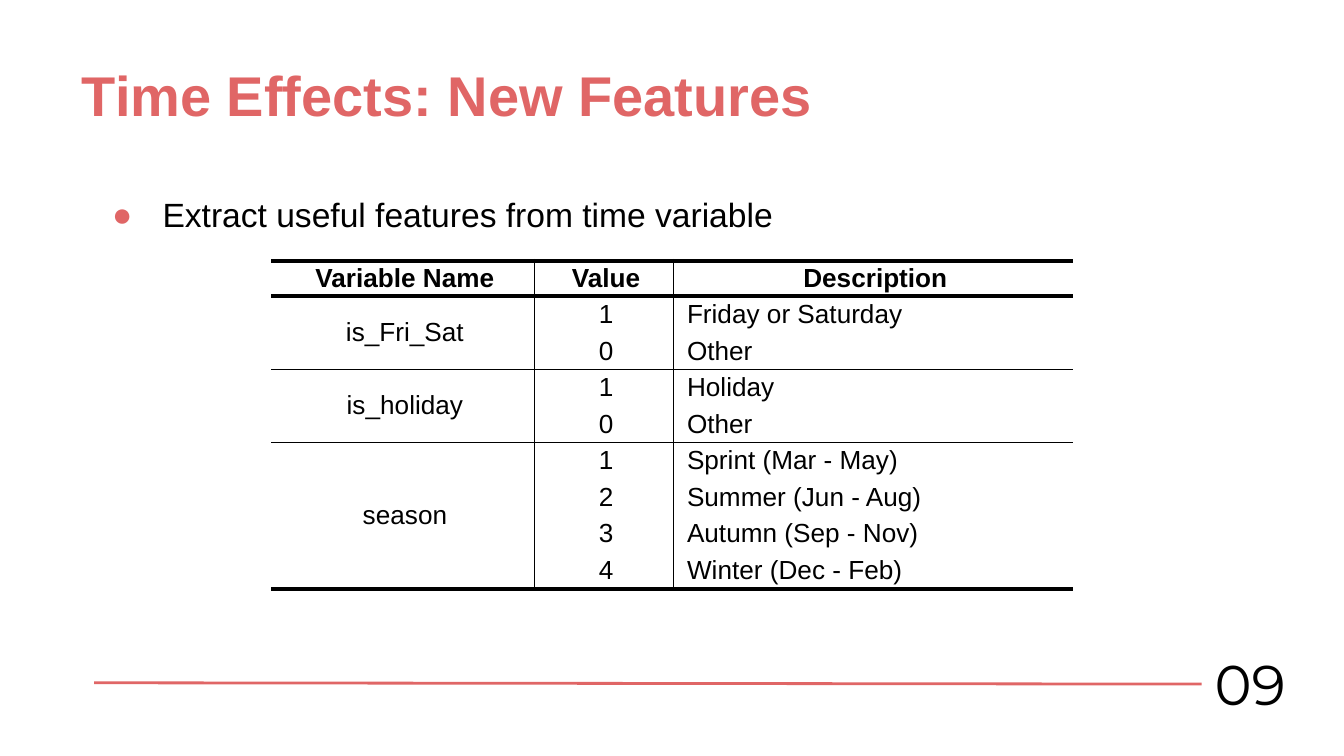
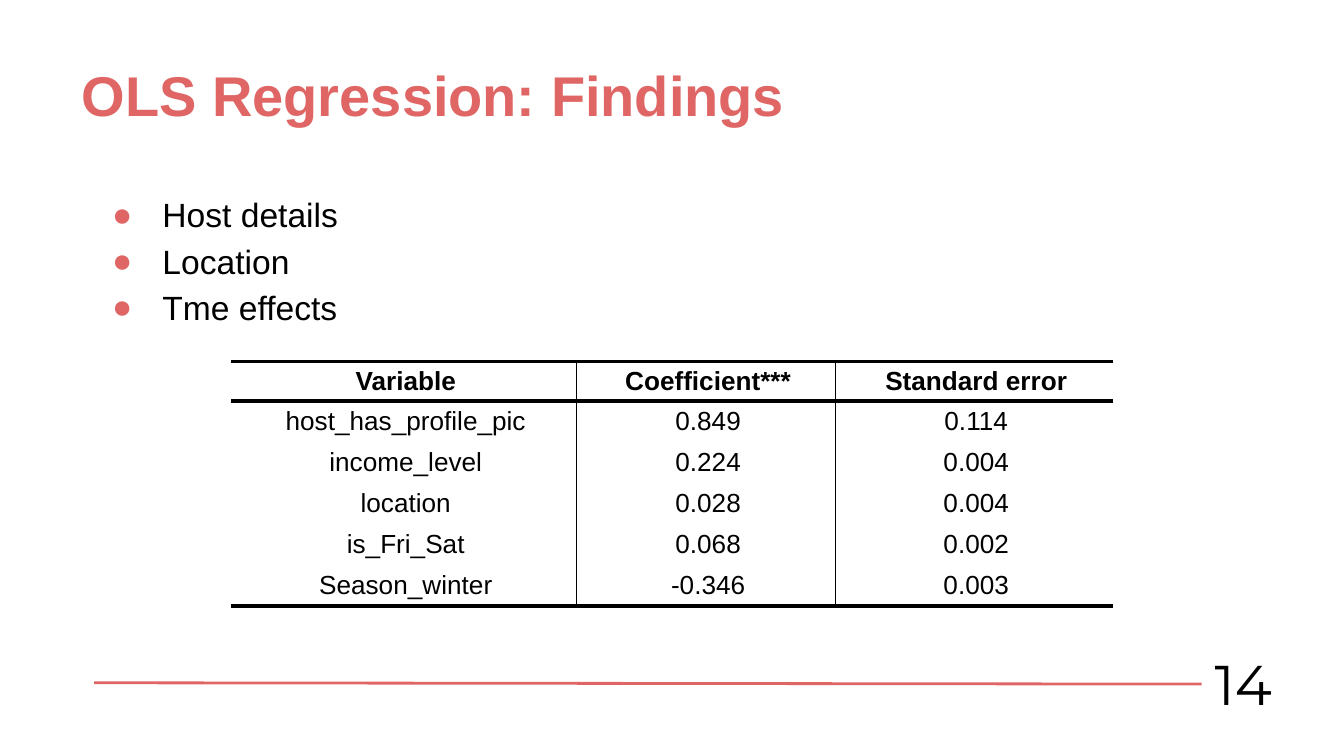
"""Build two findings slides that share a title, bullets, ruled table and footer."""
from dataclasses import dataclass

import lxml.etree
import pptx
import pptx.dml.color
import pptx.enum.shapes
import pptx.enum.text
import pptx.oxml.ns
import pptx.util

Pt = pptx.util.Pt
qn = pptx.oxml.ns.qn
RGB = pptx.dml.color.RGBColor.from_string
ALIGN = pptx.enum.text.PP_ALIGN


@dataclass(frozen=True)
class Theme:
    """Colours, fonts, type sizes and rule widths of the deck."""
    accent: str = "E06666"
    ink: str = "000000"
    paper: str = "FFFFFF"
    body_font: str = "Arial"
    number_font: str = "Montserrat"
    title_size: float = 30
    bullet_size: float = 18
    table_size: float = 14
    heavy: float = 2.25
    medium: float = 1
    thin: float = 0.75
    footer_rule: float = 1.5


THEME = Theme()


def add_child(parent, tag, **attributes):
    """Append a DrawingML element and return it."""
    return lxml.etree.SubElement(parent, qn(tag), attributes)


def write(paragraph, text, size, font=THEME.body_font, color=THEME.ink,
          bold=False, align=ALIGN.LEFT):
    """Write one formatted run into a paragraph."""
    paragraph.alignment = align
    run = paragraph.add_run()
    run.text = text
    run.font.size = Pt(size)
    run.font.name = font
    run.font.bold = bold
    run.font.color.rgb = RGB(color)


def add_text_frame(slide, box, inset_x=5, inset_y=3):
    """Add a wrapping text box and return its frame."""
    frame = slide.shapes.add_textbox(*map(Pt, box)).text_frame
    frame.word_wrap = True
    frame.margin_left = frame.margin_right = Pt(inset_x)
    frame.margin_top = frame.margin_bottom = Pt(inset_y)
    return frame


def add_title(slide, box, title):
    """Place the bold accent title."""
    frame = add_text_frame(slide, box)
    write(frame.paragraphs[0], title, THEME.title_size, color=THEME.accent, bold=True)


def add_bullets(slide, box, points):
    """Place the points with accent bullets and a hanging indent."""
    frame = add_text_frame(slide, box)
    for index, point in enumerate(points):
        paragraph = frame.add_paragraph() if index else frame.paragraphs[0]
        write(paragraph, point, THEME.bullet_size)
        paragraph.line_spacing = 1.15
        layout = paragraph._p.get_or_add_pPr()
        layout.set("marL", str(Pt(36)))
        layout.set("indent", str(Pt(-27)))
        add_child(add_child(layout, "a:buClr"), "a:srgbClr", val=THEME.accent)
        add_child(layout, "a:buFont", typeface=THEME.body_font)
        add_child(layout, "a:buChar", char="●")


def add_footer(slide, box, number):
    """Place the accent rule and the page number at its right end."""
    left, top, width, height = box
    number_width = 57.6
    rule_end = left + width - number_width
    rule_top = top + 25.2
    rule = slide.shapes.add_connector(
        pptx.enum.shapes.MSO_CONNECTOR.STRAIGHT,
        Pt(left), Pt(rule_top), Pt(rule_end), Pt(rule_top + 0.7))
    rule.line.color.rgb = RGB(THEME.accent)
    rule.line.width = Pt(THEME.footer_rule)
    add_child(rule._element.spPr, "a:effectLst")
    frame = add_text_frame(slide, (rule_end, top, number_width, height), 7.2, 7.2)
    write(frame.paragraphs[0], number, THEME.title_size, font=THEME.number_font)


def set_borders(cell, **widths):
    """Draw the cell sides L, R, T and B; a zero width hides a side."""
    properties = cell._tc.get_or_add_tcPr()
    for side in "LRTB":
        width = widths[side]
        border = add_child(properties, f"a:ln{side}", w=str(Pt(width)))
        if width:
            add_child(add_child(border, "a:solidFill"), "a:srgbClr", val=THEME.ink)
        else:
            add_child(border, "a:noFill")


def fill_cell(cell, text, bold, align):
    """Give a cell its margins, background and text."""
    cell.fill.solid()
    cell.fill.fore_color.rgb = RGB(THEME.paper)
    cell.vertical_anchor = pptx.enum.text.MSO_ANCHOR.MIDDLE
    cell.margin_left, cell.margin_right = Pt(7.2), Pt(5)
    cell.margin_top = cell.margin_bottom = 0
    write(cell.text_frame.paragraphs[0], text, THEME.table_size, bold=bold, align=align)


def add_ruled_table(slide, box, column_widths, header_height, header, groups,
                    group_rule=0, column_rule=THEME.thin, last_align=ALIGN.CENTER):
    """Place a table whose groups of rows share one merged name cell."""
    rows, spans = [header], {0: 1}
    rules = {0: THEME.heavy, 1: THEME.heavy}
    for name, entries in groups:
        start = len(rows)
        spans[start] = len(entries)
        rules.setdefault(start, group_rule)
        rows += [(name if i == 0 else "", *entry) for i, entry in enumerate(entries)]
    rules[len(rows)] = THEME.heavy

    last = len(header) - 1
    table = slide.shapes.add_table(len(rows), last + 1, *map(Pt, box)).table
    table.first_row = table.horz_banding = False
    for column, width in zip(table.columns, column_widths):
        column.width = Pt(width)
    body_height = round((box[3] - header_height) / (len(rows) - 1), 2)
    for r, values in enumerate(rows):
        table.rows[r].height = Pt(body_height if r else header_height)
        upright = column_rule if r else THEME.thin
        for c, text in enumerate(values):
            cell = table.cell(r, c)
            end = r + (spans.get(r, 1) if c == 0 else 1)
            set_borders(cell, L=upright if c else 0, R=upright if c < last else 0,
                        T=rules.get(r, 0), B=rules.get(end, 0))
            align = last_align if r and c == last else ALIGN.CENTER
            fill_cell(cell, text, r == 0, align)
    for start, span in spans.items():
        if span > 1:
            table.cell(start, 0).merge(table.cell(start + span - 1, 0))


def add_content_slide(deck, title, title_width, points, points_width, number):
    """Add a slide with its title, bullets and footer."""
    slide = deck.slides.add_slide(deck.slide_layouts[6])
    add_title(slide, (38.9, 29.5, title_width, 34.6), title)
    add_bullets(slide, (46.1, 97.9, points_width, 34.6), points)
    add_footer(slide, (50.4, 340.6, 650.9, 51.1), number)
    return slide


def add_features_slide(deck):
    """Build the slide on features drawn from time."""
    slide = add_content_slide(
        deck, "Time Effects: New Features", 452.2,
        ["Extract useful features from time variable"], 526.3, "09")
    add_ruled_table(
        slide, (145.4, 139.7, 429.5, 175.7), (140.9, 74.6, 214), 19,
        ("Variable Name", "Value", "Description"),
        [("is_Fri_Sat", [("1", "Friday or Saturday"), ("0", "Other")]),
         ("is_holiday", [("1", "Holiday"), ("0", "Other")]),
         ("season", [("1", "Sprint (Mar - May)"), ("2", "Summer (Jun - Aug)"),
                     ("3", "Autumn (Sep - Nov)"), ("4", "Winter (Dec - Feb)")])],
        group_rule=THEME.medium, column_rule=THEME.medium, last_align=ALIGN.LEFT)


def add_findings_slide(deck):
    """Build the slide on regression findings."""
    slide = add_content_slide(
        deck, "OLS Regression: Findings", 391.7,
        ["Host details", "Location", "Tme effects"], 607.7, "14")
    add_ruled_table(
        slide, (123.8, 193.7, 472.3, 131), (185, 139, 148.3), 21.2,
        ("Variable", "Coefficient***", "Standard error"),
        [("host_has_profile_pic", [("0.849", "0.114")]),
         ("income_level", [("0.224", "0.004")]),
         ("location", [("0.028", "0.004")]),
         ("is_Fri_Sat", [("0.068", "0.002")]),
         ("Season_winter", [("-0.346", "0.003")])])


def main():
    """Create the deck and save it."""
    deck = pptx.Presentation()
    deck.slide_width, deck.slide_height = Pt(720), Pt(405)
    add_features_slide(deck)
    add_findings_slide(deck)
    deck.save("out.pptx")


if __name__ == "__main__":
    main()
